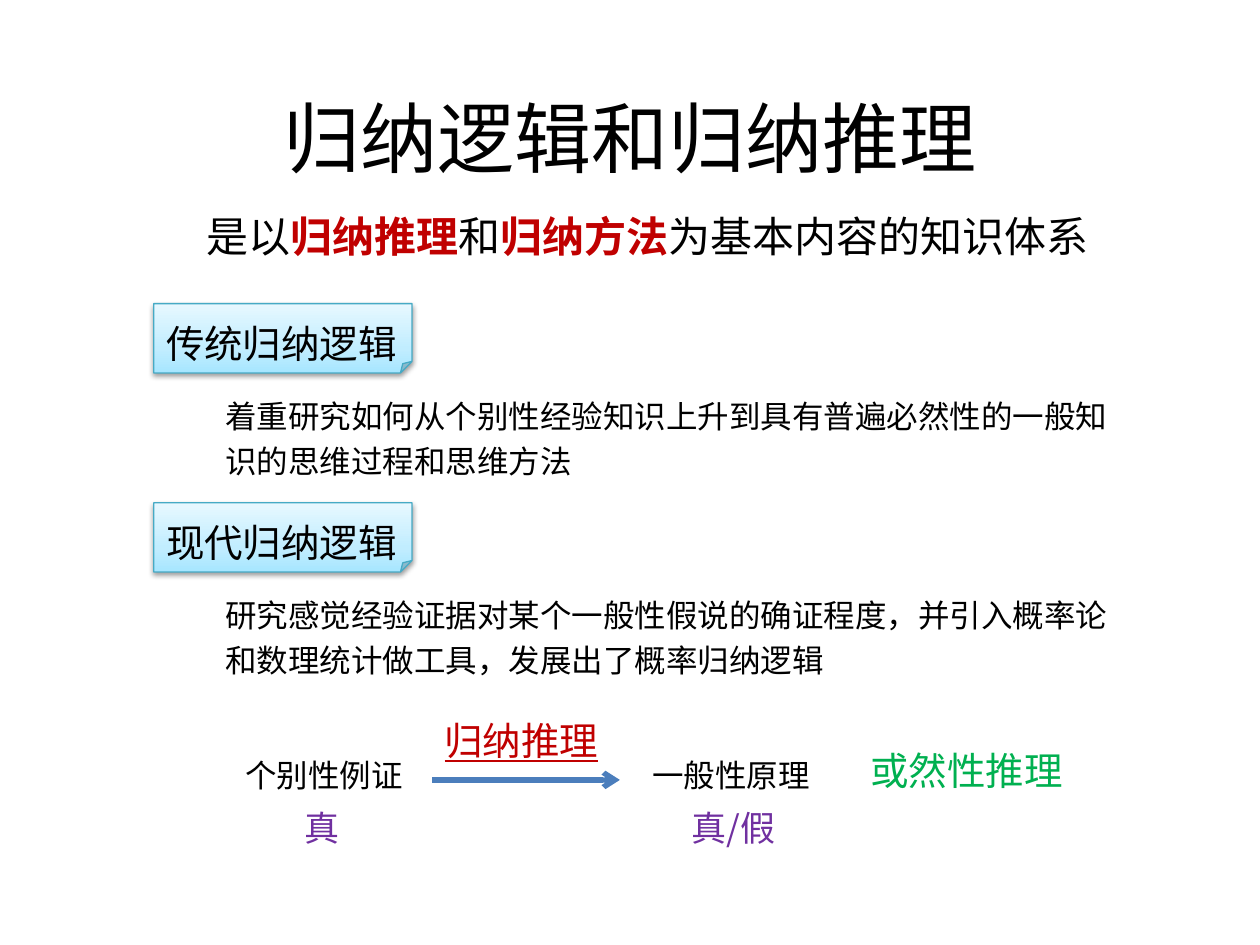
from dataclasses import dataclass

from lxml import etree
from pptx import Presentation
from pptx import util as u
from pptx.dml.color import RGBColor
from pptx.enum import shapes, text
from pptx.oxml import parse_xml
from pptx.oxml.ns import nsdecls, qn


@dataclass(frozen=True)
class Theme:
    heading_font: str = "Noto Sans CJK JP"
    body_font: str = "Noto Sans CJK SC"
    ink: str = "000000"
    emphasis: str = "C00000"
    truth: str = "7030A0"
    verdict: str = "00B050"
    arrow: str = "4B7EBC"
    note_line: str = "46AAC5"
    note_stops: tuple = ((0, "A7E6FF"), (35, "C1EDFF"), (100, "E7F8FF"))
    title_size: int = 44
    lead_size: int = 24
    label_size: int = 22
    truth_size: int = 20
    body_size: int = 18


class SlideBuilder:
    def __init__(self, slide, theme):
        self.slide = slide
        self.theme = theme

    def style(self, font, size, color, name):
        """Set size, colour and both the Latin and East Asian typefaces."""
        font.size = u.Pt(size)
        font.color.rgb = RGBColor.from_string(color)
        font.name = name
        east_asian = etree.Element(qn("a:ea"), typeface=name)
        font._element.find(qn("a:latin")).addnext(east_asian)

    def text(self, content, left, top, width, height, size, color=None,
             font=None, grow=True, parent=None):
        box = (parent or self.slide).shapes.add_textbox(
            *map(u.Inches, (left, top, width, height)))
        frame = box.text_frame
        frame.word_wrap = True
        if grow:
            frame.auto_size = text.MSO_AUTO_SIZE.SHAPE_TO_FIT_TEXT
        paragraph = frame.paragraphs[0]
        paragraph.add_run().text = content
        self.style(paragraph.font, size, color or self.theme.ink,
                   font or self.theme.body_font)
        return paragraph

    def title(self, content):
        paragraph = self.text(content, 0.5, 0.46, 9, 1.25, self.theme.title_size,
                              font=self.theme.heading_font, grow=False)
        paragraph.alignment = text.PP_ALIGN.CENTER
        self.slide.shapes[-1].text_frame.vertical_anchor = text.MSO_ANCHOR.MIDDLE

    def lead(self, pieces):
        """Add the defining sentence; every second piece is emphasised."""
        paragraph = self.text(pieces[0], 1.54, 1.62, 7.32, 0.63,
                              self.theme.lead_size, grow=False)
        for index, piece in enumerate(pieces[1:], 1):
            run = paragraph.add_run()
            run.text = piece
            if index % 2:
                run.font.bold = True
                run.font.color.rgb = RGBColor.from_string(self.theme.emphasis)

    def note(self, label, top):
        """Add a folded note card with its label, as one group."""
        group = self.slide.shapes.add_group_shape()
        card = group.shapes.add_shape(
            shapes.MSO_SHAPE.FOLDED_CORNER,
            *map(u.Inches, (1.22, top, 2.05, 0.55)))
        card.line.color.rgb = RGBColor.from_string(self.theme.note_line)
        card.line.width = u.Pt(0.75)
        card.fill.gradient()
        card.fill.gradient_angle = 90
        properties = card._element.spPr
        stops = properties.find(".//" + qn("a:gsLst"))
        stops.clear()
        for position, color in self.theme.note_stops:
            stop = etree.SubElement(stops, qn("a:gs"), pos=str(position * 1000))
            etree.SubElement(stop, qn("a:srgbClr"), val=color)
        properties.append(parse_xml(
            f'<a:effectLst {nsdecls("a")}>'
            '<a:outerShdw blurRad="40000" dist="20000" dir="5400000" rotWithShape="0">'
            '<a:srgbClr val="000000"><a:alpha val="38000"/></a:srgbClr>'
            '</a:outerShdw></a:effectLst>'))
        self.text(label, 1.22, top + 0.08, 2.13, 0.47, self.theme.label_size,
                  parent=group)

    def section(self, label, description, top):
        self.note(label, top)
        paragraph = self.text(description, 1.69, top + 0.63, 7.32, 0.78,
                              self.theme.body_size)
        paragraph.line_spacing = 1.2

    def arrow(self, left, right, y):
        connector = self.slide.shapes.add_connector(
            shapes.MSO_CONNECTOR.STRAIGHT,
            *map(u.Inches, (left, y, right, y)))
        connector.line.color.rgb = RGBColor.from_string(self.theme.arrow)
        connector.line.width = u.Pt(3)
        etree.SubElement(connector.line._get_or_add_ln(), qn("a:tailEnd"), type="arrow")
        etree.SubElement(connector._element.spPr, qn("a:effectLst"))


def main():
    presentation = Presentation()
    presentation.slide_width = u.Inches(10)
    presentation.slide_height = u.Inches(7.5)
    theme = Theme()
    builder = SlideBuilder(
        presentation.slides.add_slide(presentation.slide_layouts[6]), theme)

    builder.title("归纳逻辑和归纳推理")
    builder.lead(["是以", "归纳推理", "和", "归纳方法", "为基本内容的知识体系"])

    sections = [
        ("传统归纳逻辑",
         "着重研究如何从个别性经验知识上升到具有普遍必然性的一般知识的思维过程和思维方法"),
        ("现代归纳逻辑",
         "研究感觉经验证据对某个一般性假说的确证程度，并引入概率论和数理统计做工具，"
         "发展出了概率归纳逻辑"),
    ]
    for index, (label, description) in enumerate(sections):
        builder.section(label, description, 2.41 + 1.58 * index)

    inference = builder.text("归纳推理", 3.43, 5.64, 1.5, 0.47,
                             theme.label_size, theme.emphasis)
    inference.font.underline = True
    builder.arrow(3.43, 4.92, 6.19)
    for statement, left in (("个别性例证", 1.85), ("一般性原理", 5.08)):
        builder.text(statement, left, 5.95, 1.5, 0.4, theme.body_size,
                     font=theme.heading_font)
    builder.text("或然性推理", 6.81, 5.88, 1.81, 0.47,
                 theme.label_size, theme.verdict)
    for value, left in (("真", 2.32), ("真/假", 5.39)):
        builder.text(value, left, 6.35, 1.02, 0.44, theme.truth_size, theme.truth)

    presentation.save("out.pptx")


if __name__ == "__main__":
    main()
